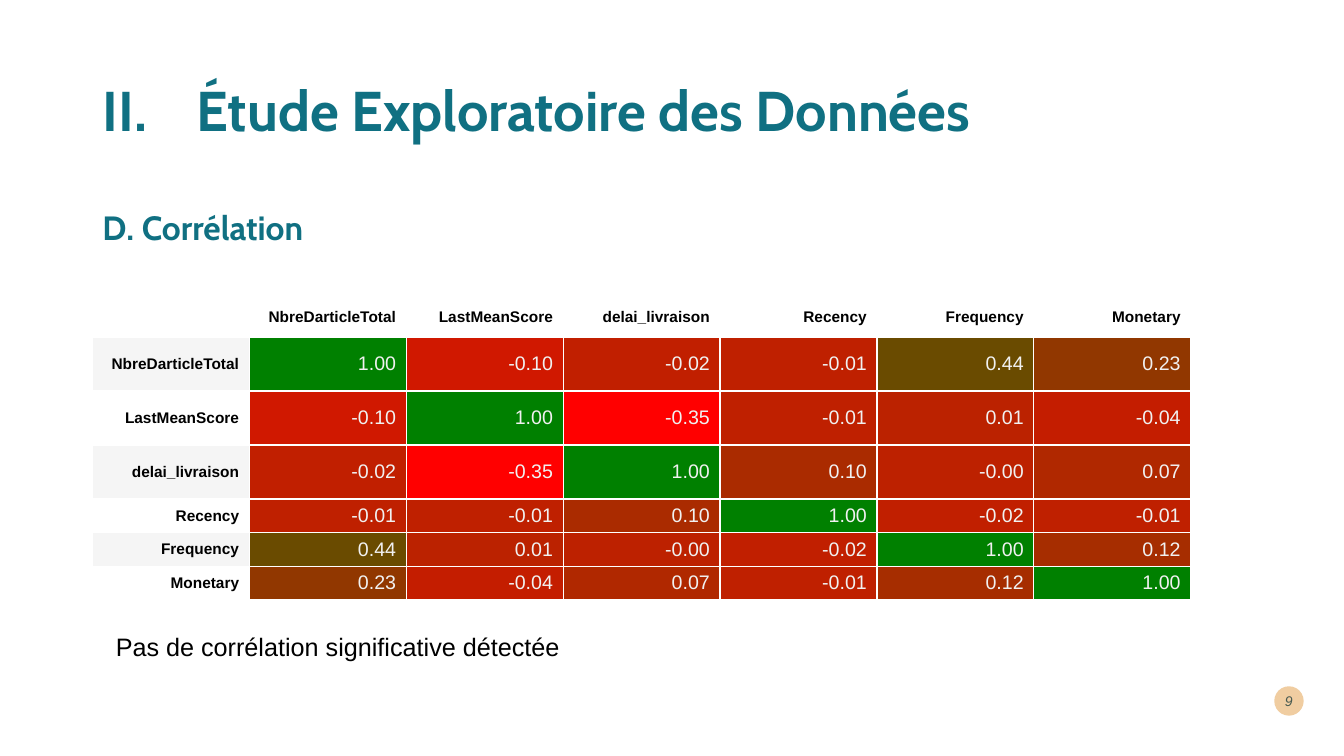
from lxml import etree
from pptx import Presentation
from pptx.dml import color
from pptx.enum import shapes, text
from pptx.oxml import ns
from pptx.util import Pt

TEAL, INK, BLACK, PALE = "107082", "00292E", "000000", "F1F1F1"
LEFT, MID, RIGHT = text.PP_ALIGN.LEFT, text.MSO_ANCHOR.MIDDLE, text.PP_ALIGN.RIGHT

NAMES = ["NbreDarticleTotal", "LastMeanScore", "delai_livraison",
         "Recency", "Frequency", "Monetary"]
SCORES = [row.split() for row in (
    "1.00 -0.10 -0.02 -0.01 0.44 0.23",
    "-0.10 1.00 -0.35 -0.01 0.01 -0.04",
    "-0.02 -0.35 1.00 0.10 -0.00 0.07",
    "-0.01 -0.01 0.10 1.00 -0.02 -0.01",
    "0.44 0.01 -0.00 -0.02 1.00 0.12",
    "0.23 -0.04 0.07 -0.01 0.12 1.00")]


def rgb(code):
    return color.RGBColor.from_string(code)


def heat(score, low=-0.35):
    """Blend from red at the lowest score to green at 1."""
    part = (float(score) - low) / (1 - low)
    return f"{round(255 * (1 - part)):02X}{round(128 * part):02X}00"


def paint(shape, code):
    shape.fill.solid()
    shape.fill.fore_color.rgb = rgb(code)


def add(parent, tag, **attrs):
    return etree.SubElement(parent, ns.qn(tag), attrs)


class Deck:
    HEAD = dict(name="Cabin", size=Pt(40), bold=True, color=TEAL)
    SUB = dict(HEAD, size=Pt(24))
    BODY = dict(name="Arial", size=Pt(18), bold=False, color=BLACK)
    LABEL = dict(BODY, size=Pt(11), bold=True)
    VALUE = dict(BODY, size=Pt(14), color=PALE)
    PAGE = dict(BODY, size=Pt(10), italic=True, color=INK)

    def __init__(self, wide, high):
        self.prs = Presentation()
        self.prs.slide_width, self.prs.slide_height = Pt(wide), Pt(high)
        self.slide = self.prs.slides.add_slide(self.prs.slide_layouts[5])

    def put(self, frame, words, look, align=LEFT):
        """Add a formatted run to the first paragraph."""
        para = frame.paragraphs[0]
        para.alignment = align
        run = para.add_run()
        run.text = words
        for key, value in look.items():
            if key == "color":
                run.font.color.rgb = rgb(value)
            else:
                setattr(run.font, key, value)
        return run

    def title(self, words, box, indent, start):
        """Fill the title as a paragraph with a Roman numeral."""
        head = self.slide.shapes.title
        head.left, head.top, head.width, head.height = map(Pt, box)
        frame = head.text_frame
        frame.vertical_anchor, frame.word_wrap = MID, True
        frame.auto_size = text.MSO_AUTO_SIZE.NONE
        para = frame.paragraphs[0]
        para.line_spacing = 0.9
        props = para._p.get_or_add_pPr()
        props.set("marL", str(Pt(indent)))
        props.set("indent", str(-Pt(indent)))
        add(props, "a:buFont", typeface="+mj-lt")
        add(props, "a:buAutoNum", type="romanUcPeriod", startAt=str(start))
        self.put(frame, words, self.HEAD)

    def label(self, words, box, look, align=LEFT, anchor=text.MSO_ANCHOR.TOP):
        frame = self.slide.shapes.add_textbox(*map(Pt, box)).text_frame
        frame.word_wrap, frame.vertical_anchor = True, anchor
        return self.put(frame, words, look, align)

    def badge(self, number, box, size, code):
        """Place the page number on a disc."""
        disc = self.slide.shapes.add_shape(shapes.MSO_SHAPE.OVAL, *map(Pt, size))
        disc.shadow.inherit = False
        disc.line.fill.background()
        paint(disc, code)
        run = self.label(number, box, self.PAGE, RIGHT, MID)
        tint = run._r.find(".//" + ns.qn("a:srgbClr"))
        add(tint, "a:alpha", val="70000")

    def cell(self, cell, words, look, code):
        paint(cell, code)
        cell.vertical_anchor = MID
        if words:
            self.put(cell.text_frame, words, look, RIGHT)

    def matrix(self, names, scores, spot, wide, highs):
        count = len(names) + 1
        grid = self.slide.shapes.add_table(
            count, count, *map(Pt, spot), Pt(wide * count), Pt(sum(highs))).table
        grid.first_row = grid.horz_banding = False
        for col in grid.columns:
            col.width = Pt(wide)
        for row, high in zip(grid.rows, highs):
            row.height = Pt(high)
        for col, name in enumerate([""] + names):
            self.cell(grid.cell(0, col), name, self.LABEL, "FFFFFF")
        for row, (name, line) in enumerate(zip(names, scores), 1):
            band = "F5F5F5" if row % 2 else "FFFFFF"
            self.cell(grid.cell(row, 0), name, self.LABEL, band)
            for col, score in enumerate(line, 1):
                self.cell(grid.cell(row, col), score, self.VALUE, heat(score))


def main():
    deck = Deck(960, 540)
    deck.badge("9", (902, 486, 28.4, 28.8), (910.2, 490.2, 21, 21), "F0CDA1")
    deck.title("Étude Exploratoire des Données", (66, 28.8, 828, 104.4), 67.5, 2)
    deck.label("D. Corrélation", (66, 144, 379.4, 36), deck.SUB)
    deck.matrix(NAMES, SCORES, (66, 211.9), 112.1, [27.4] + [38.6] * 3 + [24] * 3)
    deck.label("Pas de corrélation significative détectée",
               (75.6, 447.1, 486, 29), deck.BODY)
    deck.prs.save("out.pptx")


if __name__ == "__main__":
    main()
